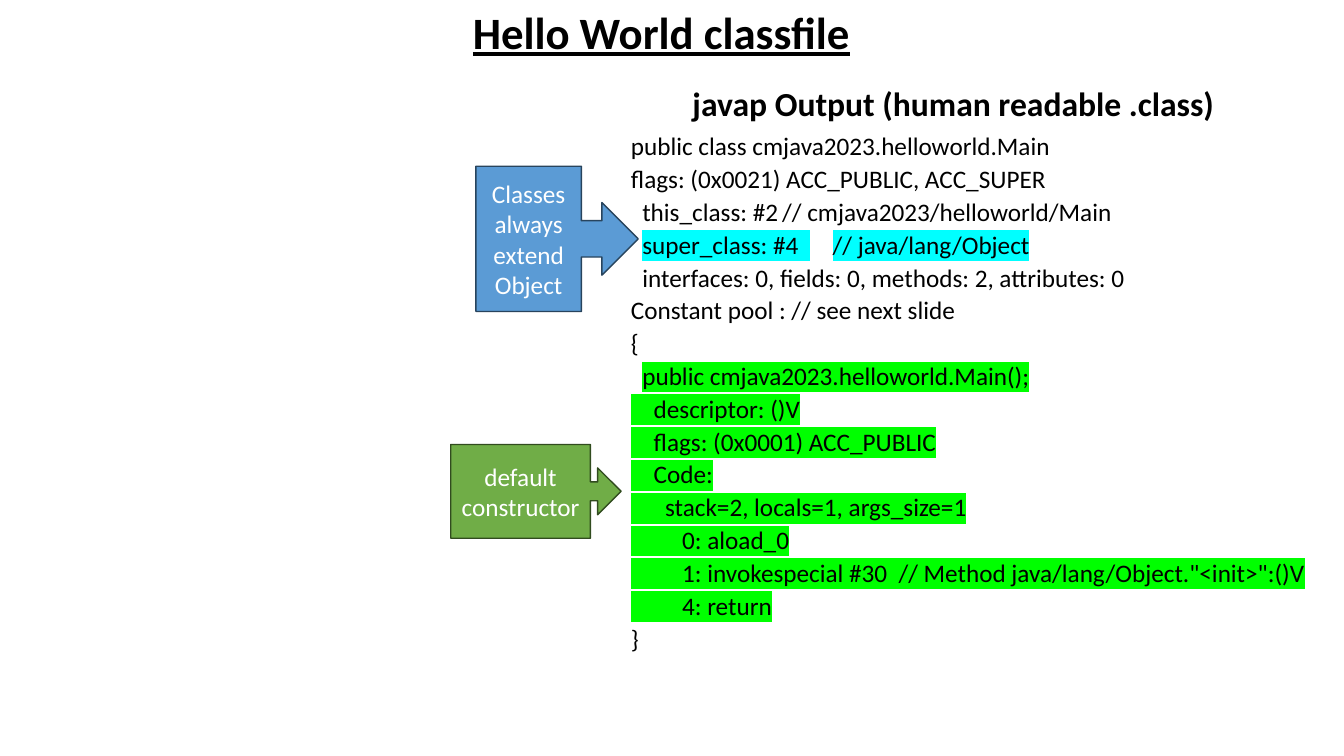
from dataclasses import dataclass
from typing import Any, Optional

from lxml import etree
from pptx import Presentation
from pptx import util as u
from pptx.dml.color import RGBColor
from pptx.enum import shapes, text
from pptx.oxml.ns import qn


@dataclass(frozen=True)
class Theme:
    font: str = "Calibri"
    ink: str = "000000"
    paper: str = "FFFFFF"
    blue: str = "5B9BD5"
    blue_edge: str = "28445D"
    green: str = "70AD47"
    green_edge: str = "314C1F"
    cyan_mark: str = "00FFFF"
    lime_mark: str = "00FF00"
    title: int = 32
    heading: int = 24
    body: int = 18


T = Theme()


@dataclass(frozen=True)
class Span:
    words: str
    mark: Optional[str] = None


Line = list[Span]
Box = tuple[float, float, float, float]


@dataclass(frozen=True)
class TextBlock:
    box: Box
    lines: list[Line]
    font: dict[str, Any]
    para: dict[str, Any]
    anchor: text.MSO_ANCHOR = text.MSO_ANCHOR.TOP


@dataclass(frozen=True)
class Callout:
    box: Box
    words: str
    fill: str
    edge: str
    adjustments: tuple[float, ...]


def apply(target: Any, values: dict[str, Any]) -> None:
    for name, value in values.items():
        setattr(target, name, value)


def inches(box: Box) -> list[u.Length]:
    return [u.Inches(n) for n in box]


def add_span(p: Any, span: Span, color: str, font: dict[str, Any]) -> None:
    r = p.add_run()
    r.text = span.words
    apply(r.font, {"name": T.font, **font})
    r.font.color.rgb = RGBColor.from_string(color)
    if span.mark:
        highlight = etree.Element(qn("a:highlight"))
        etree.SubElement(highlight, qn("a:srgbClr"), val=span.mark)
        r.font._element.find(qn("a:solidFill")).addnext(highlight)


def write(tf: Any, lines: list[Line], color: str, font: dict[str, Any], para: dict[str, Any]) -> None:
    for i, line in enumerate(lines):
        p = tf.add_paragraph() if i else tf.paragraphs[0]
        apply(p, para)
        for span in line:
            add_span(p, span, color, font)


def draw_text(s: Any, block: TextBlock) -> None:
    tf = s.shapes.add_textbox(*inches(block.box)).text_frame
    apply(tf, {"word_wrap": True, "vertical_anchor": block.anchor})
    write(tf, block.lines, T.ink, block.font, block.para)


def draw_callout(s: Any, callout: Callout) -> None:
    sp = s.shapes.add_shape(shapes.MSO_SHAPE.RIGHT_ARROW_CALLOUT, *inches(callout.box))
    sp.shadow.inherit = False
    for i, value in enumerate(callout.adjustments):
        sp.adjustments[i] = value
    sp.fill.solid()
    sp.fill.fore_color.rgb = RGBColor.from_string(callout.fill)
    sp.line.color.rgb = RGBColor.from_string(callout.edge)
    sp.line.width = u.Pt(1)
    tf = sp.text_frame
    apply(tf, {"word_wrap": True, "vertical_anchor": text.MSO_ANCHOR.MIDDLE})
    write(tf, [[Span(callout.words)]], T.paper, {"size": u.Pt(T.body)}, CENTERED)


CENTERED = {"alignment": text.PP_ALIGN.CENTER}

CONSTRUCTOR = [
    "    descriptor: ()V",
    "    flags: (0x0001) ACC_PUBLIC",
    "    Code:",
    "      stack=2, locals=1, args_size=1",
    "         0: aload_0",
    '         1: invokespecial #30  // Method java/lang/Object."<init>":()V',
    "         4: return",
]

LISTING: list[Line] = [
    [Span("public class cmjava2023.helloworld.Main")],
    [Span("flags: (0x0021) ACC_PUBLIC, ACC_SUPER")],
    [Span("  this_class: #2\t// cmjava2023/helloworld/Main")],
    [Span("  "), Span("super_class: #4  \t// java/lang/Object", T.cyan_mark)],
    [Span("  interfaces: 0, fields: 0, methods: 2, attributes: 0")],
    [Span("Constant pool : // see next slide")],
    [Span("{")],
    [Span("  "), Span("public cmjava2023.helloworld.Main();", T.lime_mark)],
    *[[Span(words, T.lime_mark)] for words in CONSTRUCTOR],
    [Span("}")],
]

BLOCKS = [
    TextBlock((6.77, 0.73, 5.67, 0.55), [[Span("javap Output (human readable .class)")]],
              {"size": u.Pt(T.heading), "bold": True},
              {"line_spacing": 0.9, "space_before": u.Pt(10)}, text.MSO_ANCHOR.BOTTOM),
    TextBlock((6.16, 1.28, 7.1, 5.49), LISTING, {"size": u.Pt(T.body)},
              {"line_spacing": 0.9, "space_before": u.Pt(4)}),
    TextBlock((2.64, 0, 7.84, 0.64), [[Span("Hello World classfile")]],
              {"size": u.Pt(T.title), "bold": True, "underline": True}, CENTERED),
]

CALLOUTS = [
    Callout((4.72, 1.65, 1.61, 1.44), "Classes always extend Object",
            T.blue, T.blue_edge, (0.25, 0.25, 0.25, 0.65)),
    Callout((4.47, 4.41, 1.69, 0.93), "default constructor",
            T.green, T.green_edge, (0.2, 0.25, 0.25, 0.82)),
]

prs = Presentation()
apply(prs, {"slide_width": u.Inches(13.33), "slide_height": u.Inches(7.5)})
s = prs.slides.add_slide(prs.slide_layouts[6])
for block in BLOCKS:
    draw_text(s, block)
for callout in CALLOUTS:
    draw_callout(s, callout)
prs.save("out.pptx")
